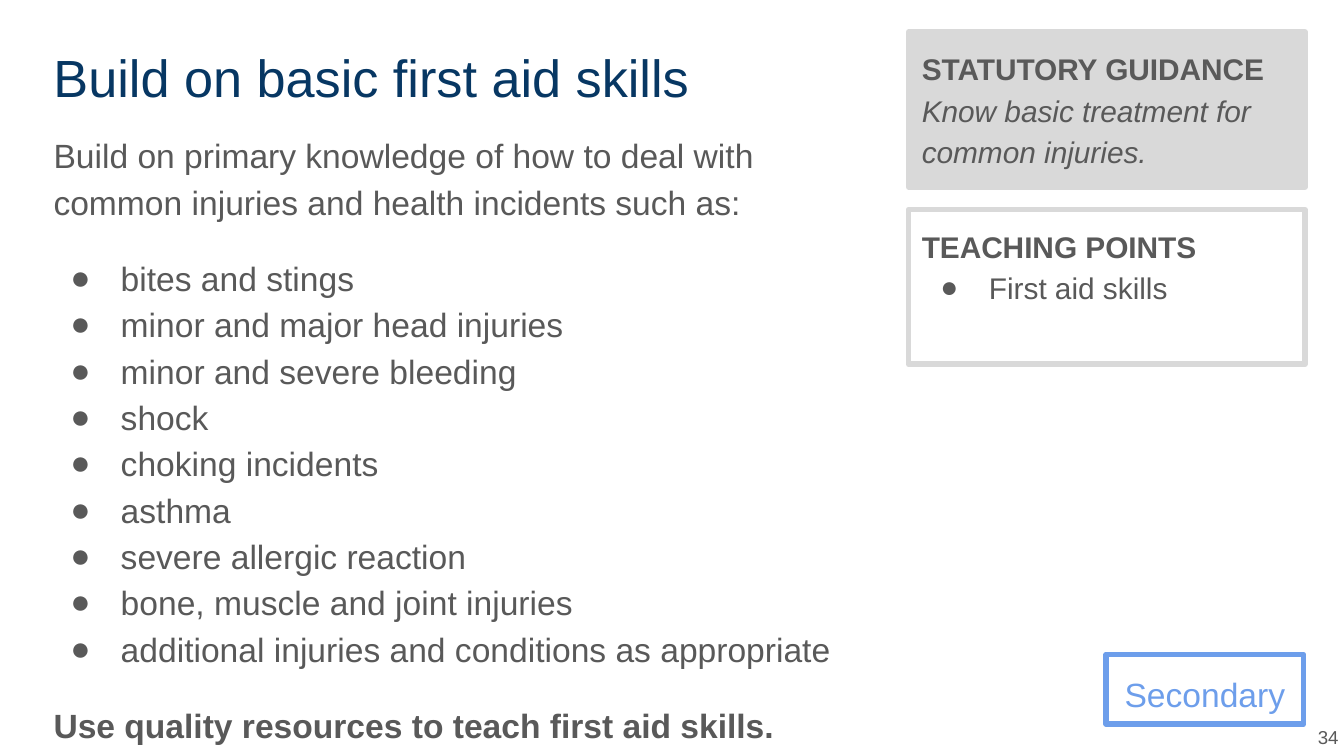
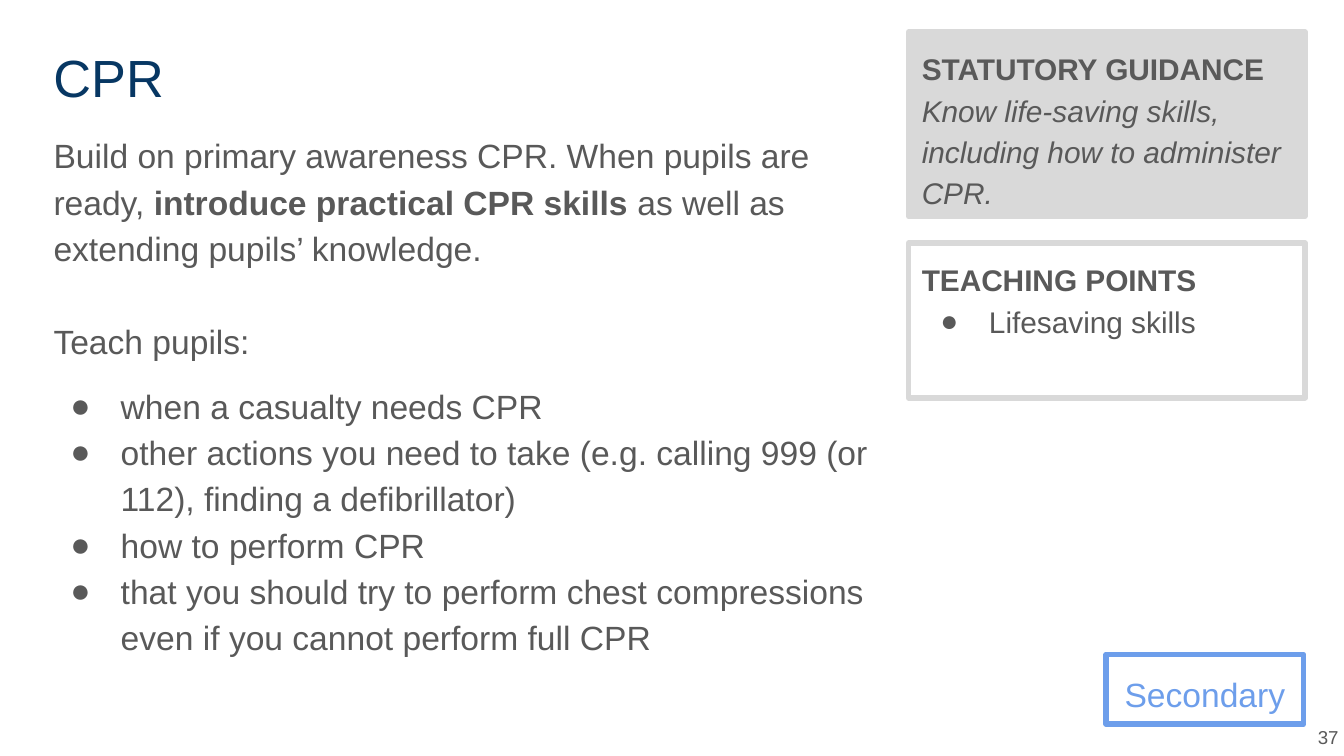
from dataclasses import dataclass

import lxml.etree
import pptx
import pptx.dml.color
import pptx.enum.shapes
import pptx.enum.text
import pptx.oxml.ns
import pptx.util

Pt = pptx.util.Pt
ALIGN = pptx.enum.text.PP_ALIGN
ANCHOR = pptx.enum.text.MSO_ANCHOR

COLORS = {
    "title": "073763",
    "text": "595959",
    "panel": "D9D9D9",
    "stage": "6D9EEB",
}
FONT = "Arial"
INSET = 7.2
LINE_SPACING = 1.15
BLANK_LINE = 24.8
TEXT_INDENT = 36
BODY_HANGING = 27
PANEL_HANGING = 26
BODY_LEFT = 21.6
PANEL_LEFT, PANEL_WIDTH, PANEL_HEIGHT = 486.7, 212.4, 82.8
TOP = 17.3


@dataclass
class Line:
    """One paragraph: runs are (text, style), style holding "b" and/or "i"."""
    runs: list
    before: float = 0
    hanging: float = 0


def plain(text, before=0):
    return Line([(text, "")], before)


def bold(text, before=0):
    return Line([(text, "b")], before)


def bullets(texts, hanging, before=0):
    """Bulleted lines, with the space before only above the first one."""
    return [Line([(text, "")], before if index == 0 else 0, hanging)
            for index, text in enumerate(texts)]


def rgb(name):
    return pptx.dml.color.RGBColor.from_string(COLORS[name])


def add_bullet(paragraph, hanging):
    properties = paragraph._p.get_or_add_pPr()
    properties.set("marL", str(Pt(TEXT_INDENT)))
    properties.set("indent", str(-Pt(hanging)))
    qn = pptx.oxml.ns.qn
    color = lxml.etree.SubElement(properties, qn("a:buClr"))
    lxml.etree.SubElement(color, qn("a:srgbClr"), val=COLORS["text"])
    lxml.etree.SubElement(properties, qn("a:buFont"), typeface=FONT)
    lxml.etree.SubElement(properties, qn("a:buChar"), char="●")


def write(shape, lines, size, color="text", align=ALIGN.LEFT,
          anchor=ANCHOR.TOP, spacing=LINE_SPACING):
    frame = shape.text_frame
    frame.word_wrap = True
    frame.vertical_anchor = anchor
    frame.margin_left = frame.margin_right = Pt(INSET)
    frame.margin_top = frame.margin_bottom = Pt(INSET)
    for index, line in enumerate(lines):
        paragraph = frame.add_paragraph() if index else frame.paragraphs[0]
        if line.hanging:
            add_bullet(paragraph, line.hanging)
        paragraph.alignment = align
        paragraph.line_spacing = spacing
        if line.before:
            paragraph.space_before = Pt(line.before)
        for text, style in line.runs:
            run = paragraph.add_run()
            run.text = text
            run.font.name = FONT
            run.font.size = Pt(size)
            run.font.bold = "b" in style
            run.font.italic = "i" in style
            run.font.color.rgb = rgb(color)


def add_text(slide, left, top, width, height, lines, size, **style):
    box = slide.shapes.add_textbox(Pt(left), Pt(top), Pt(width), Pt(height))
    write(box, lines, size, **style)


def add_frame(slide, left, top, width, height, border, filled=False):
    """Rectangle with a thick, round-cornered border."""
    shape = slide.shapes.add_shape(
        pptx.enum.shapes.MSO_SHAPE.RECTANGLE,
        Pt(left), Pt(top), Pt(width), Pt(height))
    shape.shadow.inherit = False
    if filled:
        shape.fill.solid()
        shape.fill.fore_color.rgb = rgb(border)
    else:
        shape.fill.background()
    shape.line.width = Pt(3)
    shape.line.color.rgb = rgb(border)
    outline = shape.line._get_or_add_ln()
    lxml.etree.SubElement(outline, pptx.oxml.ns.qn("a:round"))
    return shape


def add_panels(slide, guidance, points, guidance_height, gap):
    """Side column: statutory guidance above teaching points."""
    panel = add_frame(slide, PANEL_LEFT, TOP, PANEL_WIDTH, guidance_height,
                      "panel", filled=True)
    write(panel, [bold("STATUTORY GUIDANCE"), Line([(guidance, "i")])], 16)
    panel = add_frame(slide, PANEL_LEFT, TOP + guidance_height + gap,
                      PANEL_WIDTH, PANEL_HEIGHT, "panel")
    write(panel, [bold("TEACHING POINTS")] + bullets(points, PANEL_HANGING), 16)


def add_lesson_slide(presentation, title, body, number):
    """Slide with its title, body, school stage and page number."""
    slide = presentation.slides.add_slide(presentation.slide_layouts[6])
    add_text(slide, BODY_LEFT, TOP, 693.4, 45.4, [plain(title)], 28,
             color="title", spacing=1.0)
    add_text(slide, BODY_LEFT, 62, 455, 327.6, body, 18)
    stage = add_frame(slide, 592.6, 350.6, 105.8, 37.4, "stage")
    write(stage, [plain("Secondary")], 18, color="stage", align=ALIGN.CENTER)
    add_text(slide, 681, 379.4, 43.2, 31, [plain(str(number))], 10,
             align=ALIGN.RIGHT, anchor=ANCHOR.MIDDLE, spacing=1.0)
    return slide


def add_first_aid_slide(presentation):
    injuries = [
        "bites and stings",
        "minor and major head injuries",
        "minor and severe bleeding",
        "shock",
        "choking incidents",
        "asthma",
        "severe allergic reaction",
        "bone, muscle and joint injuries",
        "additional injuries and conditions as appropriate",
    ]
    body = [
        plain("Build on primary knowledge of how to deal with common injuries "
              "and health incidents such as:"),
        *bullets(injuries, BODY_HANGING, before=16),
        bold("Use quality resources to teach first aid skills.", before=16),
    ]
    slide = add_lesson_slide(presentation, "Build on basic first aid skills",
                             body, 34)
    add_panels(slide, "Know basic treatment for common injuries.",
               ["First aid skills"], guidance_height=PANEL_HEIGHT, gap=12.2)


def add_cpr_slide(presentation):
    skills = [
        "when a casualty needs CPR",
        "other actions you need to take (e.g. calling 999 (or 112), "
        "finding a defibrillator)",
        "how to perform CPR",
        "that you should try to perform chest compressions even if you "
        "cannot perform full CPR",
    ]
    body = [
        Line([("Build on primary awareness CPR. When pupils are ready, ", ""),
              ("introduce practical CPR skills", "b"),
              (" as well as extending pupils’ knowledge.", "")]),
        plain("Teach pupils:", before=BLANK_LINE),
        *bullets(skills, BODY_HANGING, before=10),
    ]
    slide = add_lesson_slide(presentation, "CPR", body, 37)
    add_panels(slide,
               "Know life-saving skills, including how to administer CPR.",
               ["Lifesaving skills"], guidance_height=98.6, gap=14.4)


def main():
    presentation = pptx.Presentation()
    presentation.slide_width = Pt(720)
    presentation.slide_height = Pt(405)
    add_first_aid_slide(presentation)
    add_cpr_slide(presentation)
    presentation.save("out.pptx")


if __name__ == "__main__":
    main()
